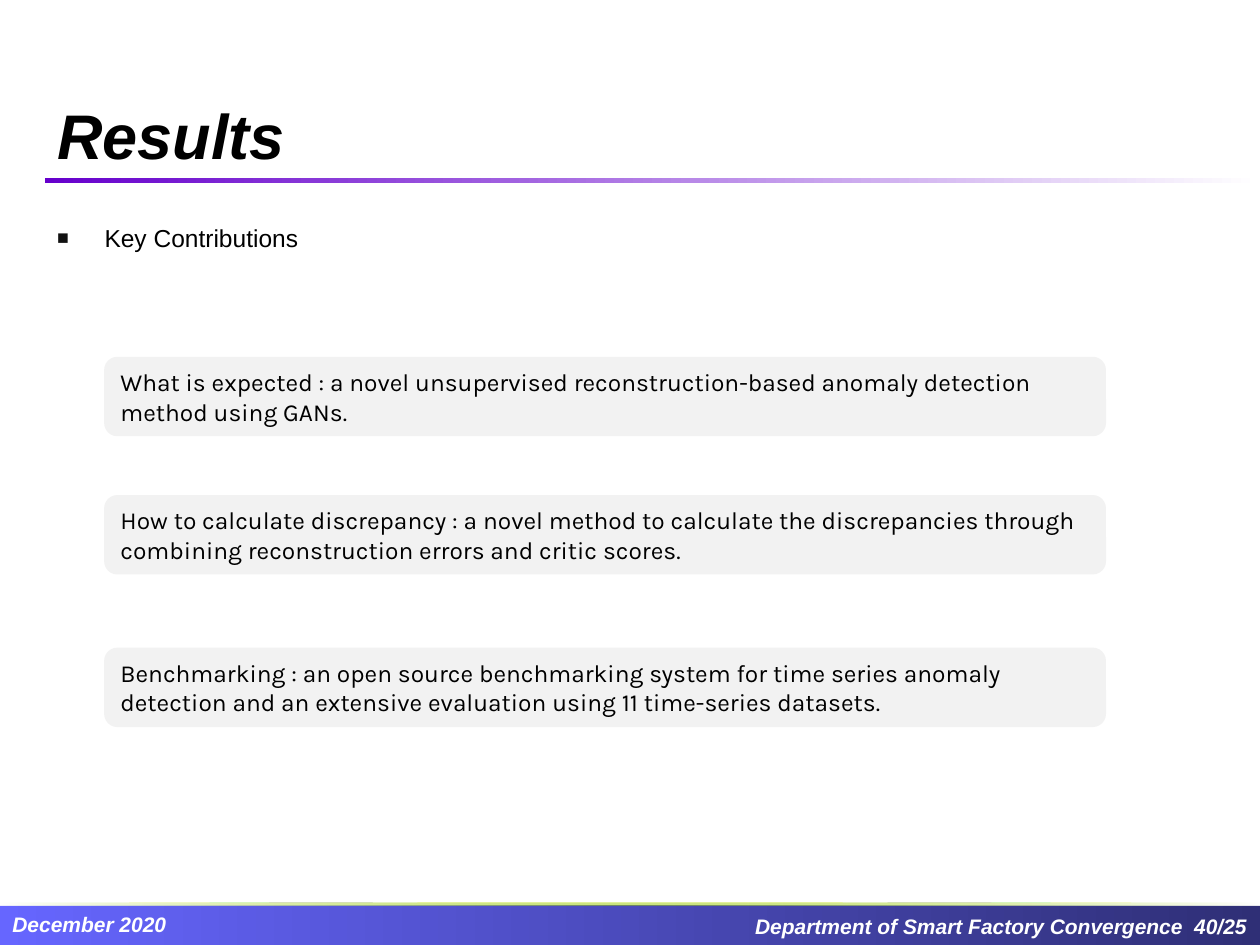
from lxml import etree
from pptx import Presentation
from pptx.dml.color import RGBColor
from pptx.enum.shapes import MSO_SHAPE
from pptx.enum.text import MSO_ANCHOR, MSO_AUTO_SIZE, PP_ALIGN
from pptx.oxml.ns import qn
from pptx.util import Pt

RECTANGLE = MSO_SHAPE.RECTANGLE
ROUNDED = MSO_SHAPE.ROUNDED_RECTANGLE
LEFT, RIGHT = PP_ALIGN.LEFT, PP_ALIGN.RIGHT
TOP, MIDDLE, BOTTOM = MSO_ANCHOR.TOP, MSO_ANCHOR.MIDDLE, MSO_ANCHOR.BOTTOM
NO_FIT, GROW = MSO_AUTO_SIZE.NONE, MSO_AUTO_SIZE.SHAPE_TO_FIT_TEXT

COLORS = {
    "black": "000000", "white": "FFFFFF", "card": "F2F2F2", "bullet": "111111",
    "footer_start": "6666FF", "footer_end": "2F2F76",
    "title_rule": "6600CC", "footer_rule": "99CC00",
}

TITLE = "Results"
HEADING = "Key Contributions"
CONTRIBUTIONS = [
    (203.9, "What is expected : a novel unsupervised reconstruction-based "
            "anomaly detection method using GANs."),
    (282.9, "How to calculate discrepancy : a novel method to calculate the "
            "discrepancies through combining reconstruction errors and critic scores."),
    (370.1, "Benchmarking : an open source benchmarking system for time series "
            "anomaly detection and an extensive evaluation using 11 time-series datasets."),
]
BANDS = [
    ((0, 517.3, 720, 22.7),
     [(0, "footer_start", 100), (100, "footer_end", 100)]),
    ((25.5, 102, 694.5, 2.7),
     [(0, "title_rule", 100), (100, "white", 100)]),
    ((0, 516, 720, 1.5),
     [(0, "white", 100), (50, "footer_rule", 50), (100, "white", 100)]),
]
FOOTERS = [
    ((0, 517.3, 224, 21.8), "December 2020", LEFT),
    ((422.6, 518.4, 297.4, 21.8), "Department of Smart Factory Convergence  40/25", RIGHT),
]
TITLE_BOX = (25.5, 9.4, 669, 92.6)
HEADING_BOX = (25.5, 122.4, 669, 45.4)
CARD_LEFT, CARD_WIDTH, CARD_HEIGHT = 59.5, 572.5, 45.4


def color(name):
    return RGBColor.from_string(COLORS[name])


def place(shape, box):
    shape.left, shape.top, shape.width, shape.height = map(Pt, box)


def write(shape, text, size, font="Arial", ink="black", strong=False,
          align=LEFT, anchor=TOP, fit=NO_FIT):
    frame = shape.text_frame
    frame.text = text
    frame.word_wrap = True
    frame.auto_size = fit
    frame.vertical_anchor = anchor
    paragraph = frame.paragraphs[0]
    paragraph.alignment = align
    paragraph.font.name = font
    paragraph.font.size = Pt(size)
    paragraph.font.bold = paragraph.font.italic = strong
    paragraph.font.color.rgb = color(ink)
    return paragraph


def add_plain_shape(slide, kind, box):
    shape = slide.shapes.add_shape(kind, *map(Pt, box))
    shape.shadow.inherit = False
    shape.line.fill.background()
    return shape


def add_band(slide, box, stops):
    band = add_plain_shape(slide, RECTANGLE, box)
    band.fill.gradient()
    band.fill.gradient_angle = 0
    stop_list = band._element.spPr.find(qn("a:gradFill")).find(qn("a:gsLst"))
    for stop in list(stop_list):
        stop_list.remove(stop)
    for position, name, opacity in stops:
        stop = etree.SubElement(stop_list, qn("a:gs"), pos=str(position * 1000))
        tint = etree.SubElement(stop, qn("a:srgbClr"), val=COLORS[name])
        if opacity < 100:
            etree.SubElement(tint, qn("a:alpha"), val=str(opacity * 1000))


def add_square_bullet(paragraph, indent):
    properties = paragraph._p.get_or_add_pPr()
    properties.set("marL", str(Pt(indent)))
    properties.set("indent", str(-Pt(indent)))
    bullet_color = etree.Element(qn("a:buClr"))
    etree.SubElement(bullet_color, qn("a:srgbClr"), val=COLORS["bullet"])
    bullet_size = etree.Element(qn("a:buSzPct"), val="80000")
    bullet_font = etree.Element(qn("a:buFont"), typeface="Arial")
    bullet = etree.Element(qn("a:buChar"), char="■")
    font_properties = properties.find(qn("a:defRPr"))
    for part in (bullet_color, bullet_size, bullet_font, bullet):
        font_properties.addprevious(part)


def main():
    presentation = Presentation()
    presentation.slide_width, presentation.slide_height = Pt(720), Pt(540)
    slide = presentation.slides.add_slide(presentation.slide_layouts[1])

    for box, stops in BANDS:
        add_band(slide, box, stops)
    for box, text, align in FOOTERS:
        footer = slide.shapes.add_textbox(*map(Pt, box))
        write(footer, text, 12, ink="white", strong=True, align=align, fit=GROW)

    title = slide.shapes.title
    place(title, TITLE_BOX)
    write(title, TITLE, 36, strong=True, anchor=BOTTOM)

    body = slide.placeholders[1]
    place(body, HEADING_BOX)
    heading = write(body, HEADING, 14)
    heading.line_spacing = 1.1
    heading.space_before = Pt(2.8)
    add_square_bullet(heading, 27)

    for top, text in CONTRIBUTIONS:
        card = add_plain_shape(slide, ROUNDED, (CARD_LEFT, top, CARD_WIDTH, CARD_HEIGHT))
        card.fill.solid()
        card.fill.fore_color.rgb = color("card")
        write(card, text, 14, font="Karla", anchor=MIDDLE, fit=GROW)

    presentation.save("out.pptx")


if __name__ == "__main__":
    main()
